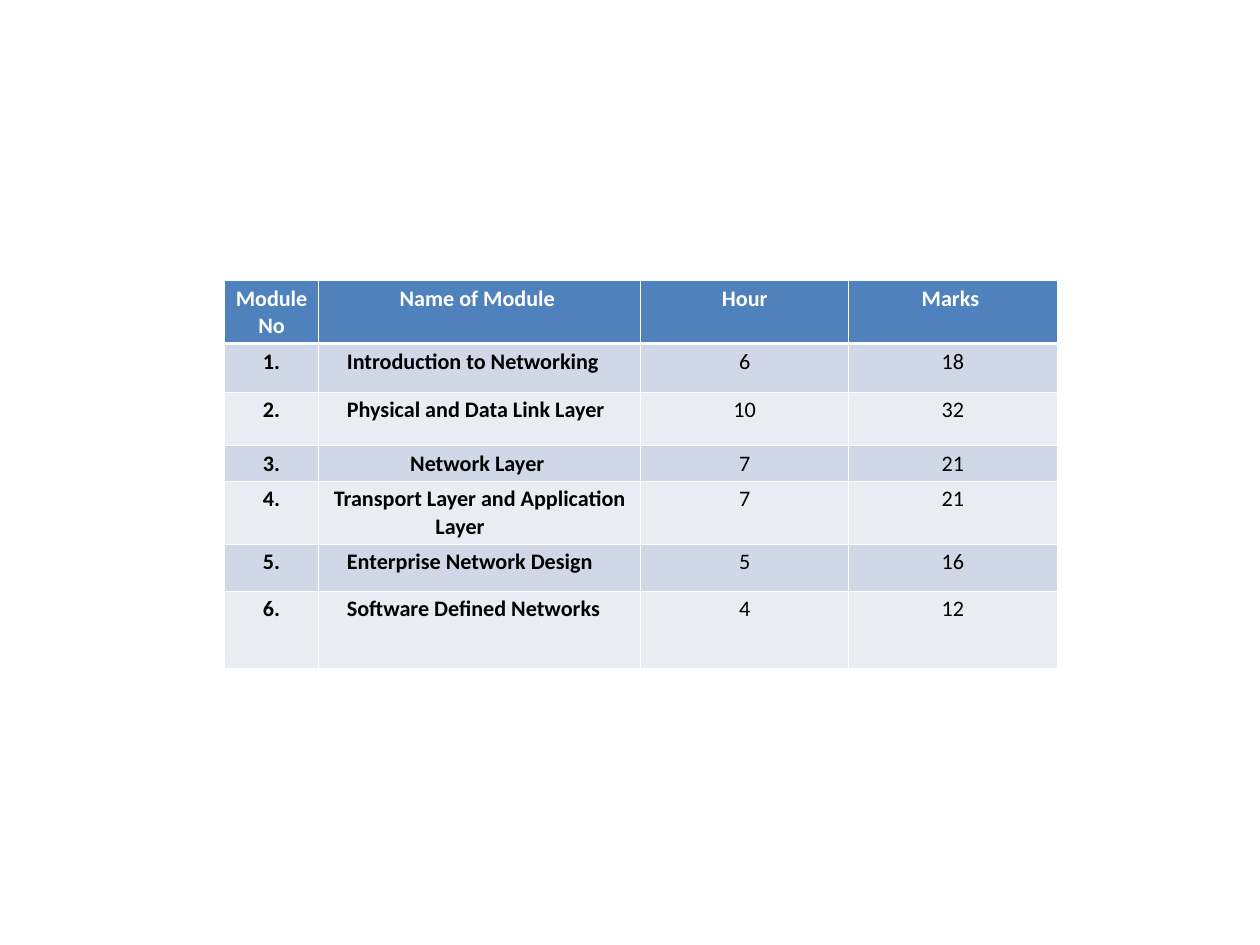
from dataclasses import dataclass

from lxml import etree
from pptx import Presentation
from pptx.dml.color import RGBColor
from pptx.enum.text import PP_ALIGN
from pptx.oxml.ns import qn
from pptx.util import Inches, Pt

CENTER = PP_ALIGN.CENTER
BLANK_LAYOUT = 6


@dataclass(frozen=True)
class Theme:
    font: str = "Calibri"
    size: float = 18
    header_fill: str = "4F81BD"
    header_text: str = "FFFFFF"
    body_text: str = "000000"
    bands: tuple = ("D0D8E7", "E9ECF3")
    border: str = "FFFFFF"
    thin: float = 0.96
    thick: float = 3


THEME = Theme()

COLUMN_WIDTHS = (1.07, 3.63, 2.35, 2.35)
ROW_HEIGHTS = (0.67, 0.55, 0.6, 0.4, 0.62, 0.53, 0.87)
# The trailing tabs shift the centred module names to the left.
MODULES = (
    ("Module No", "Name of Module ", "Hour", "Marks "),
    ("1.", "Introduction to Networking \t", "6", "18"),
    ("2.", "Physical and Data Link Layer \t", "10", "32"),
    ("3.", "Network Layer ", "7", "21"),
    ("4.", "Transport Layer and Application Layer \t", "7", "21"),
    ("5.", "Enterprise Network Design \t", "5", "16"),
    ("6.", "Software Defined Networks \t", "4", "12"),
)


def add_border(cell, side, width):
    """Draw one cell edge; side is L, R, T or B. Call before filling the cell."""
    properties = cell._tc.get_or_add_tcPr()
    edge = etree.SubElement(properties, qn(f"a:ln{side}"), w=str(Pt(width)))
    fill = etree.SubElement(edge, qn("a:solidFill"))
    etree.SubElement(fill, qn("a:srgbClr"), val=THEME.border)


presentation = Presentation()
presentation.slide_width = Inches(14.22)
presentation.slide_height = Inches(10.67)
slide = presentation.slides.add_slide(presentation.slide_layouts[BLANK_LAYOUT])

syllabus = slide.shapes.add_table(
    len(MODULES), len(COLUMN_WIDTHS), Inches(2.53), Inches(3.17),
    Inches(sum(COLUMN_WIDTHS)), Inches(sum(ROW_HEIGHTS)),
).table
for column, width in zip(syllabus.columns, COLUMN_WIDTHS):
    column.width = Inches(width)
for row, height in zip(syllabus.rows, ROW_HEIGHTS):
    row.height = Inches(height)

for row_index, module in enumerate(MODULES):
    is_header = row_index == 0
    fill_color = THEME.header_fill if is_header else THEME.bands[(row_index - 1) % 2]
    text_color = THEME.header_text if is_header else THEME.body_text
    top_width = THEME.thick if row_index == 1 else THEME.thin
    bottom_width = THEME.thick if is_header else THEME.thin

    for column_index, entry in enumerate(module):
        cell = syllabus.cell(row_index, column_index)
        for side, width in (("L", THEME.thin), ("R", THEME.thin),
                            ("T", top_width), ("B", bottom_width)):
            add_border(cell, side, width)
        cell.fill.solid()
        cell.fill.fore_color.rgb = RGBColor.from_string(fill_color)

        paragraph = cell.text_frame.paragraphs[0]
        paragraph.text = entry
        paragraph.alignment = CENTER
        font = paragraph.runs[0].font
        font.name = THEME.font
        font.size = Pt(THEME.size)
        font.bold = is_header or column_index < 2
        font.color.rgb = RGBColor.from_string(text_color)

presentation.save("out.pptx")
